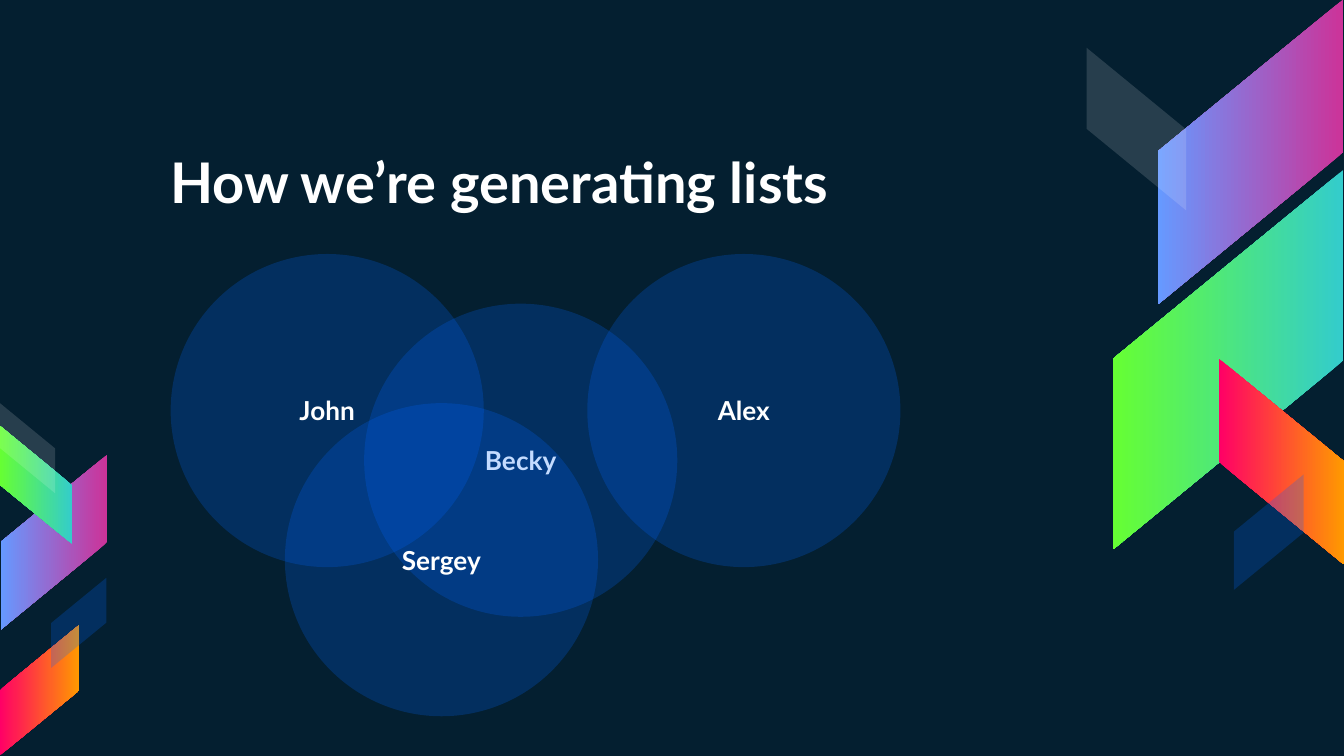
"""Build a title slide with four overlapping circles and folded ribbons at both edges."""
from lxml.etree import SubElement
from pptx import Presentation
from pptx.dml.color import RGBColor as RGB
from pptx.enum.shapes import MSO_SHAPE as SHAPE
from pptx.enum.text import MSO_ANCHOR as ANCHOR, MSO_AUTO_SIZE as AUTO, PP_ALIGN as ALIGN
from pptx.oxml.ns import qn
from pptx.util import Inches, Pt

COLORS = {
    "night": "041F30", "white": "FFFFFF", "blue": "0066FF",
    "magenta": "CC3399", "sky": "6699FF", "teal": "33CCCC",
    "green": "66FF33", "red": "FF0066", "orange": "FF9900",
}
ALPHAS = {"white": 14, "blue": 23}
FRAME = {"word_wrap": True, "auto_size": AUTO.NONE}
FRAME.update({f"margin_{side}": Inches(0.1) for side in ("left", "top", "right", "bottom")})


def add_panel(kind, box, colors):
    sp = slide.shapes.add_shape(kind, *map(Inches, box))
    sp.shadow.inherit = False
    sp.line.fill.background()
    if len(colors) == 2:
        sp.fill.gradient()
        sp.fill.gradient_angle = 270
        for stop, color in zip(sp.fill.gradient_stops, colors):
            stop.color.rgb = RGB.from_string(COLORS[color])
    else:
        sp.fill.solid()
        sp.fill.fore_color.rgb = RGB.from_string(COLORS[colors[0]])
        clr = sp._element.spPr.find(qn("a:solidFill"))[0]
        SubElement(clr, qn("a:alpha"), val=str(ALPHAS[colors[0]] * 1000))
    return sp


def set_text(sp, text, size, align, anchor):
    tf = sp.text_frame
    for name, value in {**FRAME, "vertical_anchor": anchor}.items():
        setattr(tf, name, value)
    p = tf.paragraphs[0]
    p.alignment = align
    r = p.add_run()
    r.text = text
    for name, value in {"name": "Lato", "size": Pt(size), "bold": True}.items():
        setattr(r.font, name, value)
    r.font.color.rgb = RGB.from_string(COLORS["white"])


prs = Presentation()
prs.slide_width, prs.slide_height = Inches(10), Inches(10 * 9 / 16)
slide = prs.slides.add_slide(prs.slide_layouts[5])
slide.background.fill.solid()
slide.background.fill.fore_color.rgb = RGB.from_string(COLORS["night"])

ribbons = [
    ((8.17, 0.44, 2.27, 1.38), 90, True, ("magenta", "sky")),
    ((7.73, 1.82, 2.82, 1.71), 90, True, ("teal", "green")),
    ((8.77, 2.97, 1.53, 0.93), 270, False, ("red", "orange")),
    ((7.85, 0.59, 1.21, 0.74), 270, False, ("white",)),
    ((9.01, 3.7, 0.86, 0.52), 270, True, ("blue",)),
    ((-0.25, 3.64, 1.3, 0.79), 90, True, ("magenta", "sky")),
    ((-0.17, 3.34, 0.88, 0.54), 90, False, ("teal", "green")),
    ((-0.19, 4.84, 0.97, 0.59), 270, True, ("red", "orange")),
    ((-0.13, 3.13, 0.67, 0.41), 270, False, ("white",)),
    ((0.25, 4.43, 0.67, 0.41), 270, True, ("blue",)),
]
for box, rotation, flipped, colors in ribbons:
    sp = add_panel(SHAPE.PARALLELOGRAM, box, colors)
    sp.adjustments[0] = 0.82
    sp.rotation = rotation
    if flipped:
        sp._element.spPr.find(qn("a:xfrm")).set("flipH", "1")

title = slide.shapes.title
title.left, title.top, title.width, title.height = map(Inches, (1.17, 1, 6.53, 0.7))
set_text(title, "How we’re generating lists", 30, ALIGN.LEFT, ANCHOR.BOTTOM)

diameter = 2.33
people = [("Alex", 4.37, 1.89), ("John", 1.27, 1.89), ("Becky", 2.71, 2.26), ("Sergey", 2.12, 3)]
for name, left, top in people:
    sp = add_panel(SHAPE.OVAL, (left, top, diameter, diameter), ("blue",))
    set_text(sp, name, 14, ALIGN.CENTER, ANCHOR.MIDDLE)

prs.save("out.pptx")
